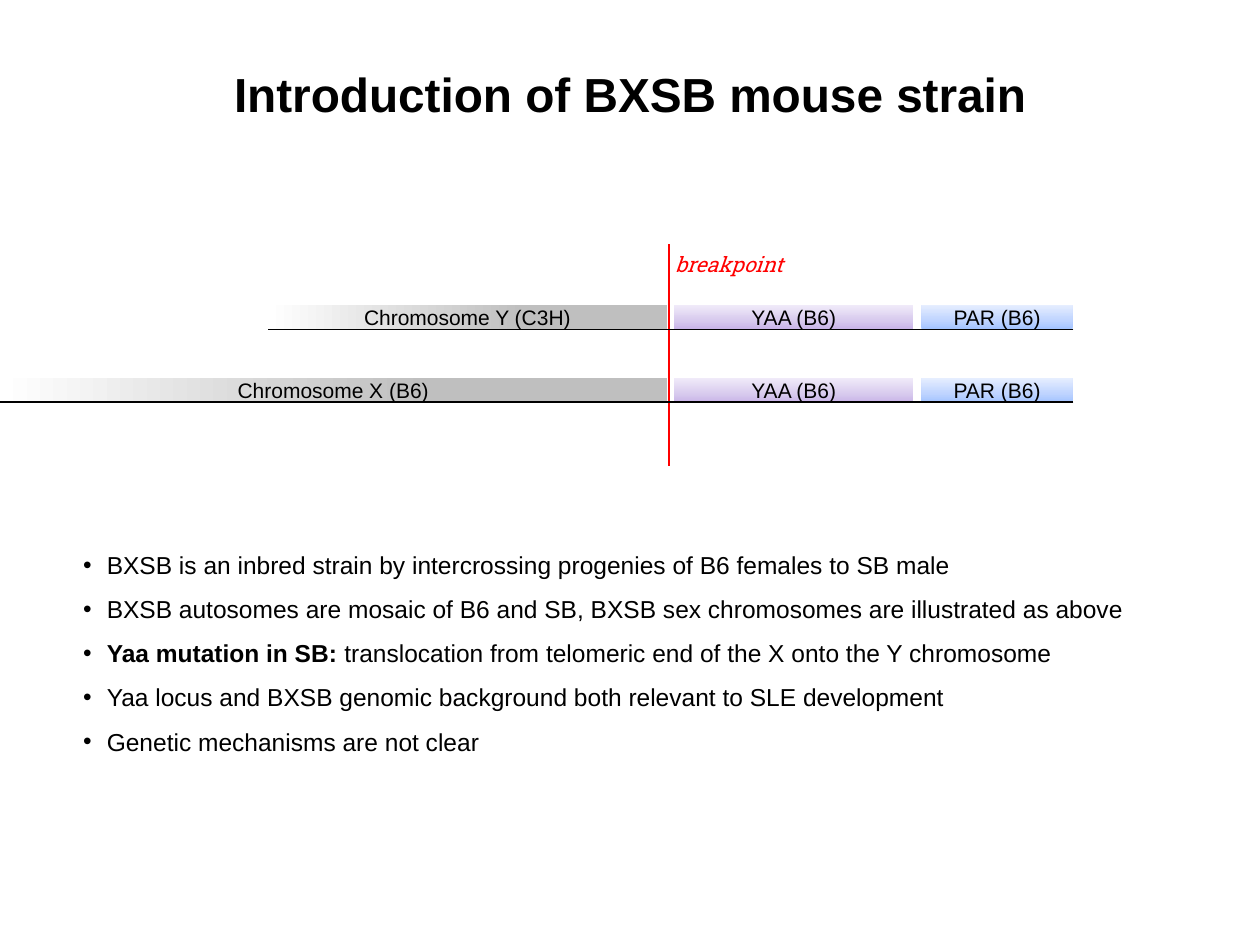
import pptx
import pptx.util
import pptx.dml.color
import pptx.enum.shapes
import pptx.enum.text
import pptx.oxml
import pptx.oxml.ns

COLORS = {"text": "000000", "breakpoint": "FF0000"}
# Gradient stops (percent, colour) and angle in degrees
GRADIENTS = {
    "chromosome": ([(0, "FFFFFF"), (64, "BFBFBF")], 0),
    "yaa": ([(0, "C9B5E8"), (35, "D8CBEE"), (100, "F0EAF9")], 270),
    "par": ([(0, "A4C4FF"), (35, "BFD4FF"), (100, "E6EEFF")], 270),
}
# Each bullet is a list of (text, bold) runs
BULLETS = [
    [("BXSB is an inbred strain by intercrossing progenies of B6 females to SB male", False)],
    [("BXSB autosomes are mosaic of B6 and SB, BXSB sex chromosomes are illustrated as above", False)],
    [("Yaa mutation in SB: ", True),
     ("translocation from telomeric end of the X onto the Y chromosome", False)],
    [("Yaa locus and BXSB genomic background both relevant to SLE development", False)],
    [("Genetic mechanisms are not clear", False)],
]
# Label, left edge, top of bars, height of the baseline
CHROMOSOMES = [
    ("Chromosome Y (C3H)", 153.4, 174.2, 188.4),
    ("Chromosome X (B6)", 0, 216, 229.7),
]
CHROMOSOME_END = 380.9
BAR_HEIGHT = 13.7
BASELINE_END = 613.4
BREAKPOINT_X = 382.3


def rgb(name):
    return pptx.dml.color.RGBColor.from_string(COLORS[name])


def add_text(paragraph, text, size=12, font="Arial", color="text",
             bold=False, italic=False, align=None):
    run = paragraph.add_run()
    run.text = text
    run.font.size = pptx.util.Pt(size)
    run.font.name = font
    run.font.color.rgb = rgb(color)
    run.font.bold = bold
    run.font.italic = italic
    if align is not None:
        paragraph.alignment = align


def points(*lengths):
    return [pptx.util.Pt(length) for length in lengths]


def place(shape, *box):
    shape.left, shape.top, shape.width, shape.height = points(*box)


def fill_gradient(shape, name):
    stops, angle = GRADIENTS[name]
    stop_xml = "".join(
        f'<a:gs pos="{position * 1000}"><a:srgbClr val="{color}"/></a:gs>'
        for position, color in stops)
    gradient = pptx.oxml.parse_xml(
        f'<a:gradFill {pptx.oxml.ns.nsdecls("a")} rotWithShape="1">'
        f'<a:gsLst>{stop_xml}</a:gsLst>'
        f'<a:lin ang="{angle * 60000}" scaled="0"/></a:gradFill>')
    shape.fill.background()
    properties = shape._element.spPr
    properties.replace(properties.find(pptx.oxml.ns.qn("a:noFill")), gradient)


def add_bar(slide, label, left, top, width, gradient):
    shape = slide.shapes.add_shape(
        pptx.enum.shapes.MSO_SHAPE.RECTANGLE,
        *points(left, top, width, BAR_HEIGHT))
    shape.shadow.inherit = False
    fill_gradient(shape, gradient)
    shape.line.fill.background()
    frame = shape.text_frame
    frame.margin_top = frame.margin_bottom = 0
    frame.vertical_anchor = pptx.enum.text.MSO_ANCHOR.MIDDLE
    add_text(frame.paragraphs[0], label, align=pptx.enum.text.PP_ALIGN.CENTER)


def add_line(slide, start, end, color, width):
    connector = slide.shapes.add_connector(
        pptx.enum.shapes.MSO_CONNECTOR.STRAIGHT, *points(*start, *end))
    connector.line.color.rgb = rgb(color)
    connector.line.width = pptx.util.Pt(width)
    connector._element.spPr.append(pptx.oxml.parse_xml(
        f'<a:effectLst {pptx.oxml.ns.nsdecls("a")}/>'))


def add_title(slide, text):
    title = slide.shapes.title
    place(title, 36, 20.2, 648, 66.2)
    frame = title.text_frame
    frame.auto_size = pptx.enum.text.MSO_AUTO_SIZE.NONE
    frame.vertical_anchor = pptx.enum.text.MSO_ANCHOR.MIDDLE
    add_text(frame.paragraphs[0], text, size=27.3, bold=True,
             align=pptx.enum.text.PP_ALIGN.CENTER)


def add_bullets(slide, items):
    body = slide.placeholders[1]
    place(body, 40.3, 302.4, 647.3, 133.2)
    frame = body.text_frame
    frame.auto_size = pptx.enum.text.MSO_AUTO_SIZE.NONE
    indent = pptx.util.Pt(13.5)
    for index, runs in enumerate(items):
        paragraph = frame.add_paragraph() if index else frame.paragraphs[0]
        paragraph.line_spacing = 1.5
        paragraph.space_before = pptx.util.Pt(0)
        properties = paragraph._element.get_or_add_pPr()
        properties.set("marL", str(int(indent)))
        properties.set("indent", str(-int(indent)))
        properties.append(pptx.oxml.parse_xml(
            f'<a:buChar {pptx.oxml.ns.nsdecls("a")} char="•"/>'))
        for text, bold in runs:
            add_text(paragraph, text, size=14, bold=bold)


def add_breakpoint(slide):
    add_line(slide, (BREAKPOINT_X, 139.7), (BREAKPOINT_X, 266.4), "breakpoint", 1)
    label = slide.shapes.add_textbox(*points(378.7, 140.4, 79.9, 21.6))
    label.text_frame.word_wrap = False
    add_text(label.text_frame.paragraphs[0], "breakpoint",
             font="Roboto Slab", color="breakpoint", italic=True)


def main():
    presentation = pptx.Presentation()
    presentation.slide_width, presentation.slide_height = points(720, 540)
    slide = presentation.slides.add_slide(presentation.slide_layouts[1])

    # Title and bullet list
    add_title(slide, "Introduction of BXSB mouse strain")
    add_bullets(slide, BULLETS)

    # Chromosome segments
    for label, left, top, _ in CHROMOSOMES:
        add_bar(slide, "PAR (B6)", 526.6, top, 86.4, "par")
        add_bar(slide, "YAA (B6)", 385.2, top, 136.8, "yaa")
        add_bar(slide, label, left, top, CHROMOSOME_END - left, "chromosome")

    # Breakpoint marker, then baselines on top of it
    add_breakpoint(slide)
    for _, left, _, baseline in CHROMOSOMES:
        add_line(slide, (BASELINE_END, baseline), (left, baseline), "text", 0.75)

    presentation.save("out.pptx")


if __name__ == "__main__":
    main()
